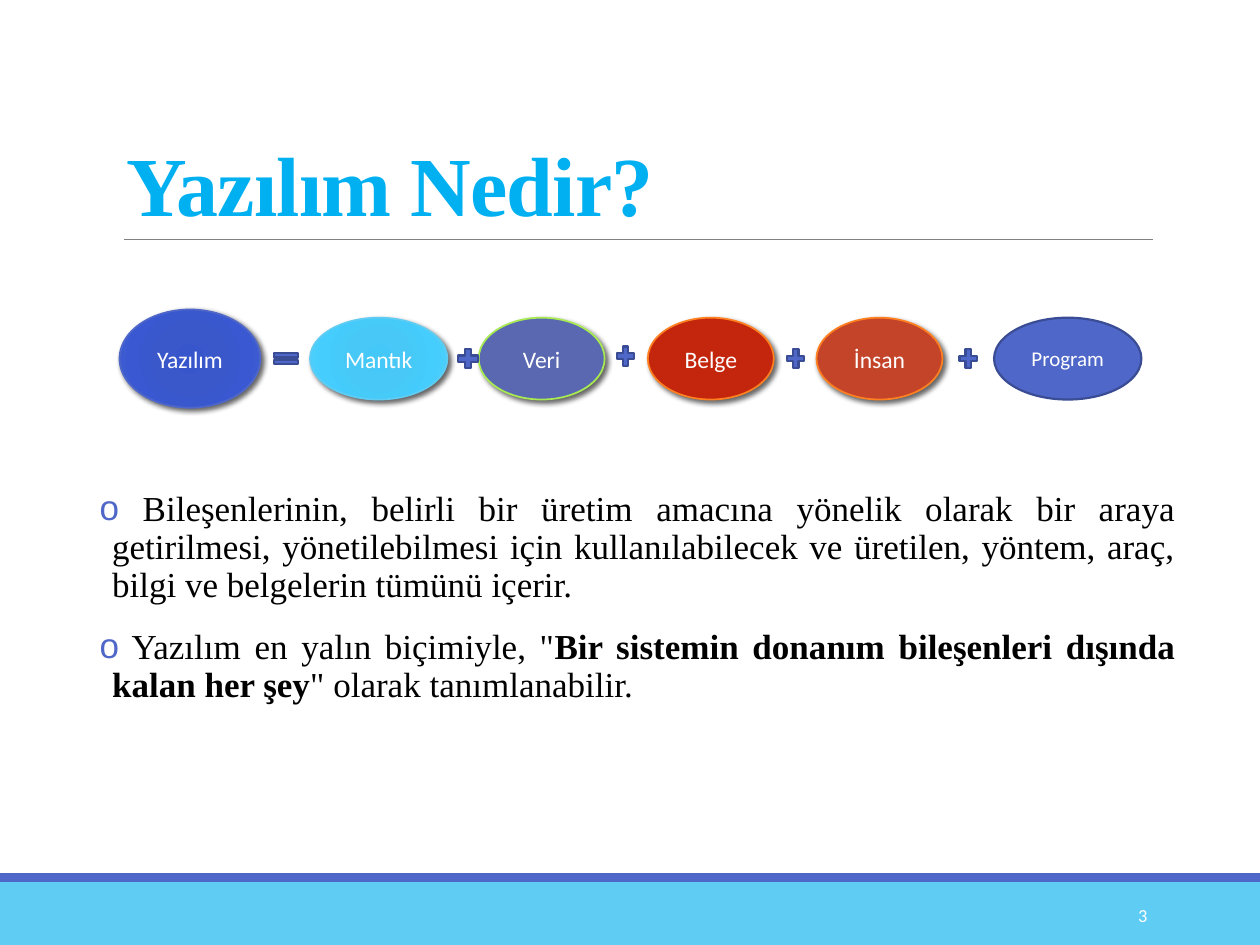
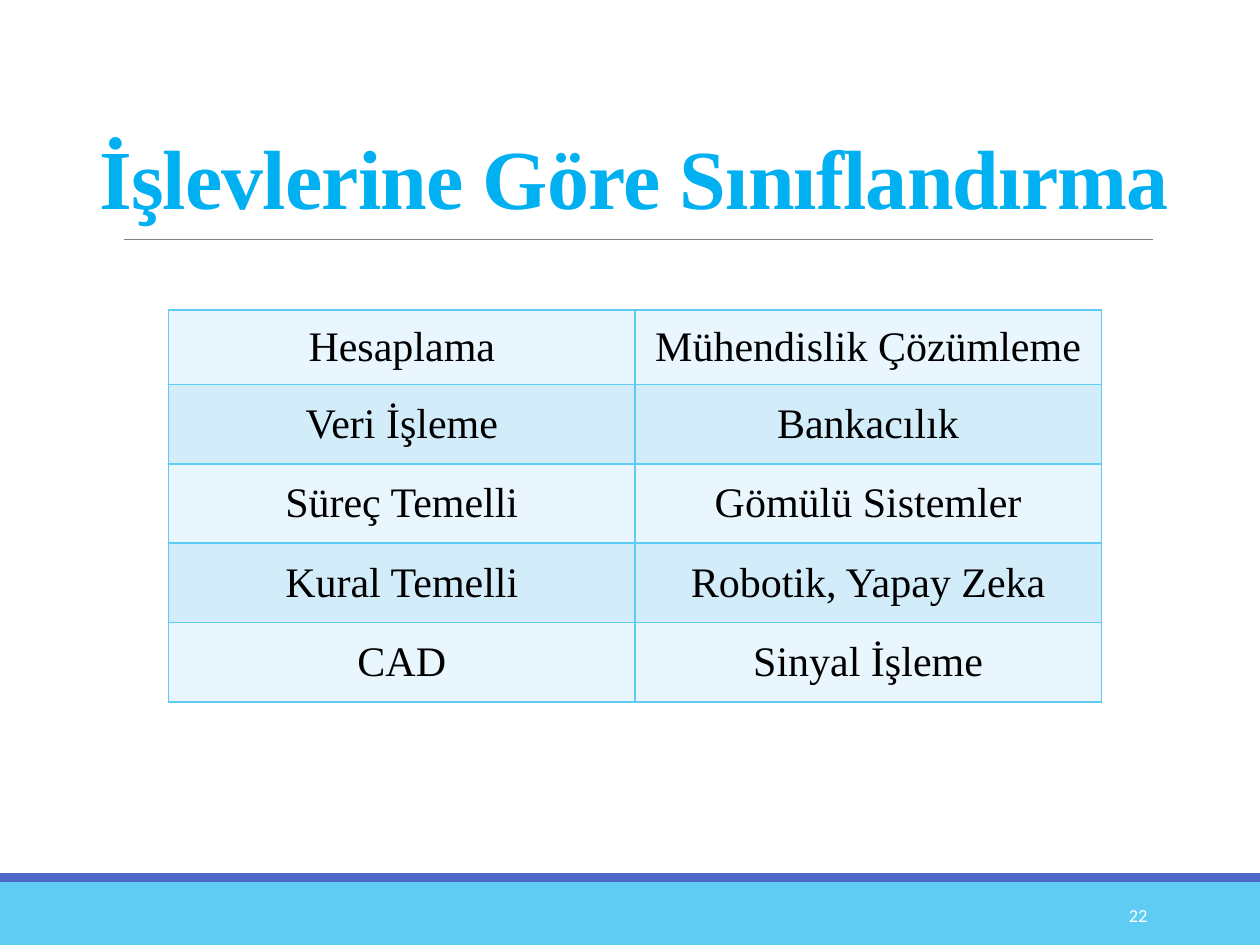
from lxml.etree import SubElement
from pptx import Presentation
from pptx.dml.color import RGBColor
from pptx.enum.shapes import MSO_CONNECTOR, MSO_SHAPE
from pptx.enum.text import MSO_ANCHOR, MSO_AUTO_SIZE, PP_ALIGN
from pptx.oxml.ns import qn
from pptx.util import Cm, Pt

SLIDE_WIDTH, SLIDE_HEIGHT = 25.4, 19.05
TITLE_AND_CONTENT, TITLE_ONLY = 1, 5
SERIF, SANS = "Times New Roman", "Calibri"
SKY, INDIGO, NAVY, TITLE_BLUE = "5ECCF3", "4E67C8", "3A4C94", "00B0F0"
LIME, ORANGE, GREY = "A7EA52", "FF8021", "808080"
BLACK, WHITE = "000000", "FFFFFF"
ROW_FILLS = ("EAF6FD", "D2ECFA")

EQUATION_MIDDLE = 7.23
# text, left, width, height, fill (one colour or gradient stops), outline
COMPONENTS = [
    ("Yazılım", 2.41, 2.84, 1.98, ("3856CB", "3B58CB", "3958D1", "4863CE"), INDIGO),
    ("Mantık", 6.25, 2.77, 1.65, ("43C8F7", "47C8F6", "44CDFD", "57D0FA"), SKY),
    ("Veri", 9.65, 2.54, 1.65, "5968B0", LIME),
    ("Belge", 13.06, 2.54, 1.65, "C3260C", ORANGE),
    ("İnsan", 16.46, 2.54, 1.65, "C4442A", ORANGE),
]
# left, middle, width of each plus sign
PLUS_SIGNS = [
    (9.17, EQUATION_MIDDLE, 0.53),
    (12.37, EQUATION_MIDDLE - 0.05, 0.48),
    (15.8, EQUATION_MIDDLE, 0.48),
    (19.28, EQUATION_MIDDLE, 0.48),
]
# each paragraph is a list of (text, bold)
DEFINITION = [
    [(" Bileşenlerinin, belirli bir üretim amacına yönelik olarak bir araya "
      "getirilmesi, yönetilebilmesi için kullanılabilecek ve üretilen, yöntem, "
      "araç, bilgi ve belgelerin tümünü içerir.", False)],
    [(' Yazılım en yalın biçimiyle, "', False),
     ("Bir sistemin donanım bileşenleri dışında kalan her şey", True),
     ('" olarak tanımlanabilir.', False)],
]
CLASSIFICATION = [
    ("Hesaplama", "Mühendislik Çözümleme"),
    ("Veri İşleme", "Bankacılık"),
    ("Süreç Temelli", "Gömülü Sistemler"),
    ("Kural Temelli", "Robotik, Yapay Zeka"),
    ("CAD", "Sinyal İşleme"),
]


def rgb(hex_colour):
    return RGBColor.from_string(hex_colour)


def set_font(paragraph, name, size, colour, bold=None):
    font = paragraph.font
    font.name, font.size, font.bold = name, Pt(size), bold
    font.color.rgb = rgb(colour)


def place(shape, left, top, width, height):
    shape.left, shape.top = Cm(left), Cm(top)
    shape.width, shape.height = Cm(width), Cm(height)


def add_xml_colour(parent, hex_colour):
    return SubElement(parent, qn("a:srgbClr"), val=hex_colour)


def fill_radially(shape, colours):
    gradient = shape._element.spPr.makeelement(qn("a:gradFill"), {"rotWithShape": "1"})
    stops = SubElement(gradient, qn("a:gsLst"))
    for percent, colour in zip((0, 34, 70, 100), colours):
        add_xml_colour(SubElement(stops, qn("a:gs"), pos=str(percent * 1000)), colour)
    circle = SubElement(gradient, qn("a:path"), {"path": "circle"})
    SubElement(circle, qn("a:fillToRect"), {side: "100000" for side in "ltrb"})
    shape._element.spPr.find(qn("a:prstGeom")).addnext(gradient)


def cast_shadow(shape):
    effects = shape._element.spPr.find(qn("a:effectLst"))
    shadow = SubElement(effects, qn("a:outerShdw"), blurRad=str(Pt(3)),
                        dist=str(Pt(2)), dir=str(45 * 60000), rotWithShape="0")
    SubElement(add_xml_colour(shadow, BLACK), qn("a:alpha"), val="60000")


def add_figure(slide, preset, left, top, width, height, fill, outline=None, weight=1):
    figure = slide.shapes.add_shape(preset, Cm(left), Cm(top), Cm(width), Cm(height))
    if isinstance(fill, str):
        figure.fill.solid()
        figure.fill.fore_color.rgb = rgb(fill)
    else:
        fill_radially(figure, fill)
    if outline:
        figure.line.color.rgb = rgb(outline)
        figure.line.width = Pt(weight)
    else:
        figure.line.fill.background()
    figure.shadow.inherit = False
    return figure


def add_component(slide, text, left, width, height, fill, outline, weight=1, size=13.5):
    oval = add_figure(slide, MSO_SHAPE.OVAL, left, EQUATION_MIDDLE - height / 2,
                      width, height, fill, outline, weight)
    frame = oval.text_frame
    frame.text = text
    frame.word_wrap = False
    frame.vertical_anchor = MSO_ANCHOR.MIDDLE
    frame.paragraphs[0].alignment = PP_ALIGN.CENTER
    set_font(frame.paragraphs[0], SANS, size, WHITE)
    return oval


def add_operator(slide, preset, left, middle, width, height):
    add_figure(slide, preset, left, middle - height / 2, width, height,
               INDIGO, NAVY, 1.25)


def add_equation(slide):
    for component in COMPONENTS:
        cast_shadow(add_component(slide, *component))
    add_component(slide, "Program", 20.04, 2.97, 1.65, INDIGO, NAVY, 1.25, 12)
    add_operator(slide, MSO_SHAPE.MATH_EQUAL, 5.44, EQUATION_MIDDLE, 0.66, 0.38)
    for left, middle, width in PLUS_SIGNS:
        add_operator(slide, MSO_SHAPE.MATH_PLUS, left, middle, width, 0.53)


def add_title(slide, text, *box):
    title = slide.shapes.title
    place(title, *box)
    frame = title.text_frame
    frame.text = text
    frame.auto_size = MSO_AUTO_SIZE.NONE
    frame.vertical_anchor = MSO_ANCHOR.BOTTOM
    paragraph = frame.paragraphs[0]
    paragraph.alignment = PP_ALIGN.LEFT
    paragraph.line_spacing = 0.85
    set_font(paragraph, SERIF, 48, TITLE_BLUE, True)
    paragraph.runs[0]._r.get_or_add_rPr().set("spc", "-50")


def add_page_number(slide, number):
    box = slide.shapes.add_textbox(Cm(20.64), Cm(17.93), Cm(2.74), Cm(1.02))
    frame = box.text_frame
    frame.word_wrap = True
    frame.vertical_anchor = MSO_ANCHOR.MIDDLE
    frame.text = str(number)
    frame.paragraphs[0].alignment = PP_ALIGN.RIGHT
    set_font(frame.paragraphs[0], SANS, 10.5, WHITE)


def add_slide(deck, layout, number, title, *title_box):
    """Add a slide with the shared bands, title rule, title and page number."""
    slide = deck.slides.add_slide(deck.slide_layouts[layout])
    add_figure(slide, MSO_SHAPE.RECTANGLE, 0, 17.78, SLIDE_WIDTH, 1.27, SKY)
    add_figure(slide, MSO_SHAPE.RECTANGLE, 0, 17.6, SLIDE_WIDTH, 0.18, INDIGO)
    rule = slide.shapes.add_connector(MSO_CONNECTOR.STRAIGHT,
                                      Cm(2.49), Cm(4.83), Cm(23.24), Cm(4.83))
    rule.line.color.rgb = rgb(GREY)
    rule.line.width = Pt(0.5)
    SubElement(rule._element.spPr, qn("a:effectLst"))
    add_title(slide, title, *title_box)
    add_page_number(slide, number)
    return slide


def set_bullet(paragraph, mark, colour):
    properties = paragraph._p.get_or_add_pPr()
    properties.set("marL", str(Cm(0.25)))
    properties.set("indent", str(-Cm(0.25)))
    add_xml_colour(SubElement(properties, qn("a:buClr")), colour)
    SubElement(properties, qn("a:buChar"), char=mark)


def add_definition(slide):
    body = slide.placeholders[1]
    place(body, 2.01, 9.78, 21.69, 4.57)
    frame = body.text_frame
    frame.auto_size = MSO_AUTO_SIZE.NONE
    frame.margin_left = frame.margin_right = 0
    for index, pieces in enumerate(DEFINITION):
        paragraph = frame.add_paragraph() if index else frame.paragraphs[0]
        paragraph.alignment = PP_ALIGN.JUSTIFY
        paragraph.line_spacing = 0.9
        paragraph.space_before, paragraph.space_after = Pt(12), Pt(2)
        set_bullet(paragraph, "o", INDIGO)
        set_font(paragraph, SERIF, 20, BLACK)
        for text, bold in pieces:
            run = paragraph.add_run()
            run.text, run.font.bold = text, bold


def set_borders(cell, colour):
    properties = cell._tc.get_or_add_tcPr()
    for side in ("lnL", "lnR", "lnT", "lnB"):
        border = SubElement(properties, qn(f"a:{side}"), w=str(Pt(1)))
        add_xml_colour(SubElement(border, qn("a:solidFill")), colour)


def add_classification(slide):
    table = slide.shapes.add_table(len(CLASSIFICATION), 2, Cm(3.4), Cm(6.25),
                                   Cm(18.8), Cm(7.9)).table
    for row_index, texts in enumerate(CLASSIFICATION):
        table.rows[row_index].height = Cm(1.6 if row_index else 1.5)
        for column_index, text in enumerate(texts):
            cell = table.cell(row_index, column_index)
            cell.text = text
            cell.vertical_anchor = MSO_ANCHOR.MIDDLE
            set_borders(cell, SKY)
            cell.fill.solid()
            cell.fill.fore_color.rgb = rgb(ROW_FILLS[row_index % 2])
            paragraph = cell.text_frame.paragraphs[0]
            paragraph.alignment = PP_ALIGN.CENTER
            set_font(paragraph, SERIF, 24, BLACK, False)


def main():
    deck = Presentation()
    deck.slide_width, deck.slide_height = Cm(SLIDE_WIDTH), Cm(SLIDE_HEIGHT)

    what_is_software = add_slide(deck, TITLE_AND_CONTENT, 3, "Yazılım Nedir?",
                                 2.29, 2.39, 20.96, 2.44)
    add_definition(what_is_software)
    add_equation(what_is_software)

    by_function = add_slide(deck, TITLE_ONLY, 22, "İşlevlerine Göre Sınıflandırma",
                            1.75, 2.01, 22.58, 2.69)
    add_classification(by_function)

    deck.save("out.pptx")


if __name__ == "__main__":
    main()
